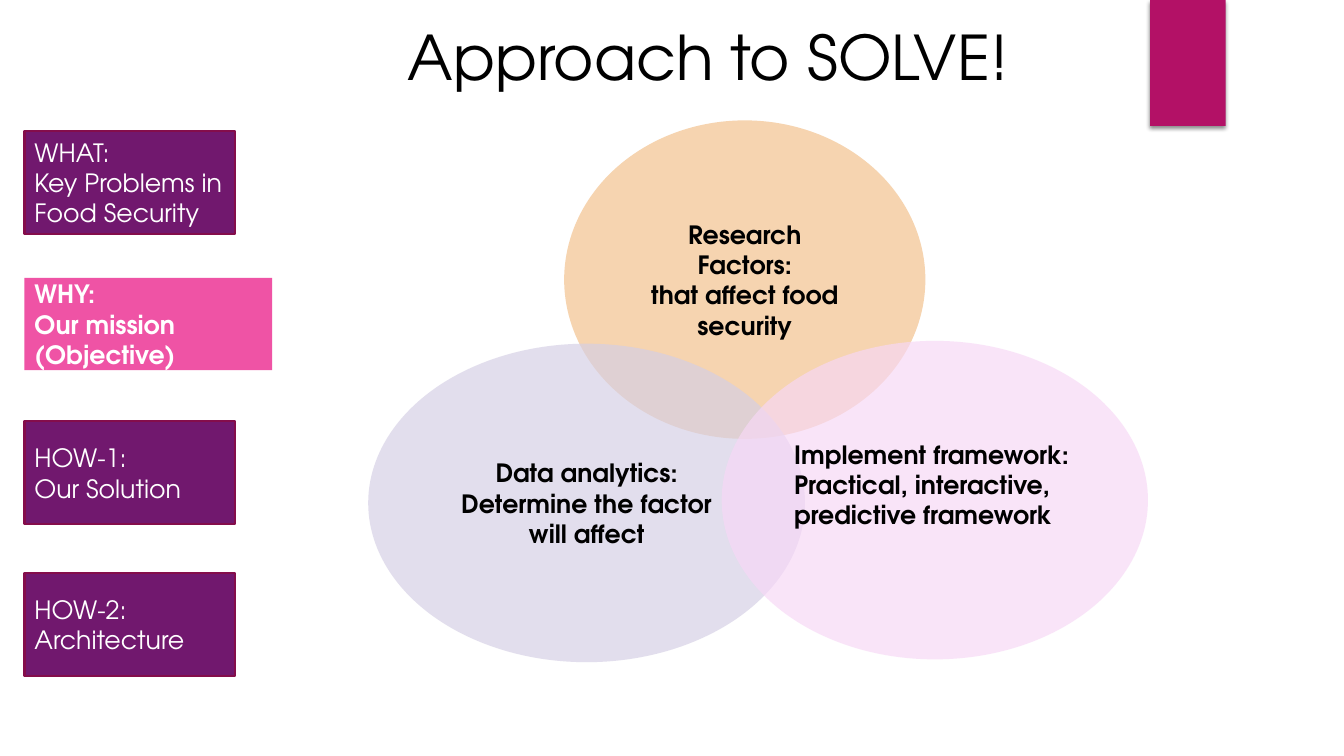
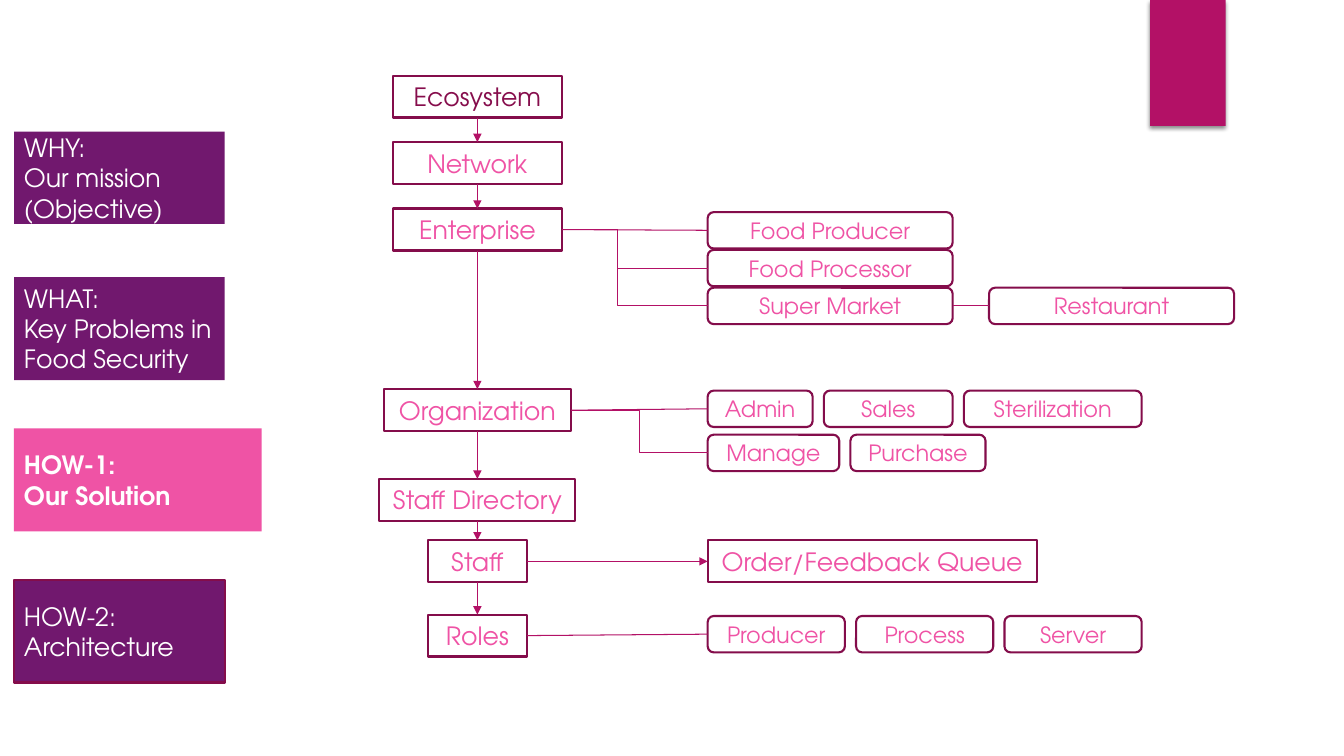
from lxml import etree
from pptx import Presentation
from pptx.dml.color import RGBColor
from pptx.enum.shapes import MSO_CONNECTOR, MSO_SHAPE
from pptx.enum.text import MSO_ANCHOR, PP_ALIGN
from pptx.oxml.ns import qn
from pptx.util import Pt

RECT, ROUND, OVAL = MSO_SHAPE.RECTANGLE, MSO_SHAPE.ROUNDED_RECTANGLE, MSO_SHAPE.OVAL
STRAIGHT, ELBOW = MSO_CONNECTOR.STRAIGHT, MSO_CONNECTOR.ELBOW
LEFT, CENTER = PP_ALIGN.LEFT, PP_ALIGN.CENTER
MIDDLE, TOP_ANCHOR = MSO_ANCHOR.MIDDLE, MSO_ANCHOR.TOP
TOP, WEST, BOTTOM, EAST = range(4)

FONT = "TeX Gyre Adventor"
BLACK, WHITE = "000000", "FFFFFF"
MAGENTA, PURPLE, PINK = "B31166", "71186E", "EF53A5"
BORDER, DARK_TEXT = "840D4B", "860D4C"

SECTIONS = {
    "WHY": ["WHY:", "Our mission", "(Objective)"],
    "WHAT": ["WHAT:", "Key Problems in Food Security"],
    "HOW-1": ["HOW-1:", "Our Solution"],
    "HOW-2": ["HOW-2:", "Architecture"],
}


def rgb(value):
    return RGBColor.from_string(value)


def add_xml(parent, tag, **attrs):
    return etree.SubElement(parent, qn(tag), {k: str(v) for k, v in attrs.items()})


class Deck:
    """Holds the shared style and the slide being built."""

    def __init__(self):
        self.prs = Presentation()
        self.prs.slide_width, self.prs.slide_height = Pt(960), Pt(540)
        self.shapes = None

    def new_slide(self):
        """Add a blank slide with the corner band."""
        self.shapes = self.prs.slides.add_slide(self.prs.slide_layouts[6]).shapes
        band = self.shape(RECT, (821.5, 0, 54, 90), fill=MAGENTA)
        effects = band._element.spPr.find(qn("a:effectLst"))
        shadow = add_xml(effects, "a:outerShdw", blurRad=Pt(3), dist=Pt(2),
                         dir=5400000, algn="ctr", rotWithShape=0)
        add_xml(add_xml(shadow, "a:srgbClr", val=BLACK), "a:alpha", val=45000)

    def set_text(self, sp, lines, color, size=18, bold=False, align=LEFT, anchor=MIDDLE):
        tf = sp.text_frame
        tf.word_wrap = True
        tf.vertical_anchor = anchor
        style = {"name": FONT, "size": Pt(size), "bold": bold}
        for i, line in enumerate(lines):
            p = tf.paragraphs[0] if i == 0 else tf.add_paragraph()
            p.alignment = align
            r = p.add_run()
            r.text = line
            for name, value in style.items():
                setattr(r.font, name, value)
            r.font.color.rgb = rgb(color)

    def shape(self, kind, box, fill=None, line=None, opacity=None):
        sp = self.shapes.add_shape(kind, *map(Pt, box))
        sp.shadow.inherit = False
        if fill:
            sp.fill.solid()
            sp.fill.fore_color.rgb = rgb(fill)
        else:
            sp.fill.background()
        if line:
            sp.line.color.rgb = rgb(line)
            sp.line.width = Pt(1.5)
        else:
            sp.line.fill.background()
        if opacity:
            color = sp._element.spPr.find(qn("a:solidFill"))[0]
            add_xml(color, "a:alpha", val=opacity * 1000)
        return sp

    def title(self, text):
        sp = self.shapes.add_textbox(Pt(284), Pt(10), Pt(535), Pt(60))
        self.set_text(sp, [text], BLACK, size=44, anchor=TOP_ANCHOR)

    def sidebar(self, left, tabs, active, outlined):
        """Stack the section tabs, given as (name, top), with one highlighted."""
        for name, top in tabs:
            current = name == active
            box = (left, top, 177 if current else 150.5, 66 if name == "WHY" else 73.5)
            sp = self.shape(RECT, box, PINK if current else PURPLE,
                            BORDER if name in outlined else None)
            self.set_text(sp, SECTIONS[name], WHITE, bold=current)

    def circle(self, box, fill, lines, opacity=None, align=CENTER):
        sp = self.shape(OVAL, box, fill, opacity=opacity)
        self.set_text(sp, lines, BLACK, bold=True, align=align)
        return sp

    def node(self, text, left, top, width, color=PINK):
        sp = self.shape(RECT, (left, top, width, 30), line=BORDER)
        self.set_text(sp, [text], color, align=CENTER)
        return sp

    def pills(self, top, items, left=505.5, gap=8):
        """Lay out a row of rounded boxes, given as (text, width)."""
        row = []
        for text, width in items:
            sp = self.shape(ROUND, (left, top, width, 26), line=BORDER)
            self.set_text(sp, [text], PINK, size=16, align=CENTER)
            row.append(sp)
            left += width + gap
        return row

    def connector(self, kind, *ends):
        c = self.shapes.add_connector(kind, *ends)
        c.line.color.rgb = rgb(MAGENTA)
        c.line.width = Pt(0.75)
        add_xml(c._element.spPr, "a:effectLst")
        return c

    def link(self, a, a_side, b, b_side, arrow=False):
        c = self.connector(STRAIGHT, 0, 0, 0, 0)
        c.begin_connect(a, a_side)
        c.end_connect(b, b_side)
        if arrow:
            add_xml(c._element.spPr.find(qn("a:ln")), "a:tailEnd", type="triangle")

    def branch(self, a, b, bend):
        """Elbow from the right of a to the left of b, turning at x = bend."""
        start = a.left + a.width
        c = self.connector(ELBOW, start, a.top + a.height // 2,
                           b.left, b.top + b.height // 2)
        ratio = (Pt(bend) - start) / (b.left - start)
        guides = c._element.spPr.find(qn("a:prstGeom")).find(qn("a:avLst"))
        add_xml(guides, "a:gd", name="adj1", fmla=f"val {round(ratio * 100000)}")


def approach_slide(deck):
    deck.new_slide()
    deck.sidebar(17.5, [("WHAT", 93.5), ("WHY", 198.5), ("HOW-1", 301), ("HOW-2", 409.5)],
                 "WHY", ("WHAT", "HOW-1", "HOW-2"))
    deck.circle((403, 86, 258, 227.5), "F6D4B0",
                ["Research", "Factors:", "that affect food security"])
    deck.circle((263, 245.5, 312, 227.5), "D5CFE5",
                ["Data analytics:", "Determine the factor will affect"], opacity=68)
    framework = deck.circle(
        (515.5, 243.5, 304.5, 227.5), "F7D8F6",
        ["Implement framework:", "Practical, interactive, predictive framework"],
        opacity=68, align=LEFT)
    framework.text_frame.margin_bottom = Pt(26)
    deck.title("Approach to SOLVE!")


def solution_slide(deck):
    deck.new_slide()
    deck.sidebar(10, [("WHY", 94), ("WHAT", 198), ("HOW-1", 306), ("HOW-2", 414)],
                 "HOW-1", ("HOW-2",))

    axis = 341
    levels = [("Ecosystem", 54, 121), ("Network", 101.5, 121), ("Enterprise", 149, 121),
              ("Organization", 278, 134), ("Staff Directory", 342, 140),
              ("Staff", 386, 71), ("Roles", 439, 71)]
    chain = [deck.node(text, axis - width / 2, top, width,
                       DARK_TEXT if text == "Ecosystem" else PINK)
             for text, top, width in levels]
    for upper, lower in zip(chain, chain[1:]):
        deck.link(upper, BOTTOM, lower, TOP, arrow=True)
    enterprise, organization, staff, roles = chain[2], chain[3], chain[5], chain[6]

    producer, processor, market = [
        deck.pills(151.5 + 27 * i, [(text, 175)])[0]
        for i, text in enumerate(["Food Producer", "Food Processor", "Super Market"])]
    restaurant = deck.pills(205.5, [("Restaurant", 175)], left=706.5)[0]
    deck.link(enterprise, EAST, producer, WEST)
    for sp in (processor, market):
        deck.branch(enterprise, sp, 441)
    deck.link(market, EAST, restaurant, WEST)

    admin = deck.pills(279, [("Admin", 75), ("Sales", 92), ("Sterilization", 127)])[0]
    manage = deck.pills(310.5, [("Manage", 94), ("Purchase", 96.5)])[0]
    deck.link(organization, EAST, admin, WEST)
    deck.branch(organization, manage, 457)

    queue = deck.node("Order/Feedback Queue", 505.5, 386, 235)
    deck.link(staff, EAST, queue, WEST, arrow=True)

    role_row = deck.pills(440, [(text, 98) for text in ("Producer", "Process", "Server")])
    deck.link(roles, EAST, role_row[0], WEST)


def main():
    deck = Deck()
    approach_slide(deck)
    solution_slide(deck)
    deck.prs.save("out.pptx")


if __name__ == "__main__":
    main()
